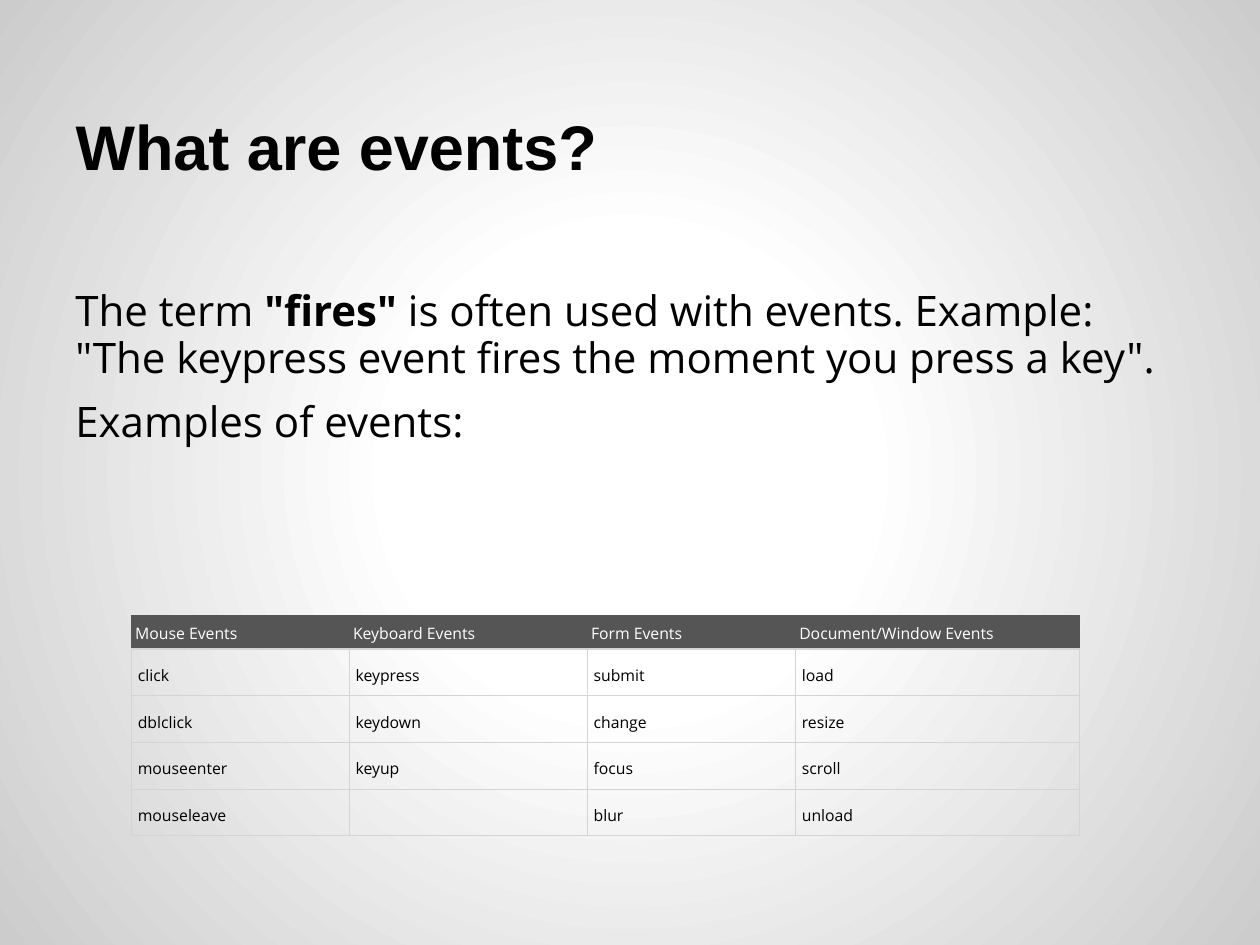
from pptx import Presentation
from pptx.dml.color import RGBColor
from pptx.enum.text import MSO_ANCHOR, MSO_AUTO_SIZE, PP_ALIGN
from pptx.oxml import parse_xml
from pptx.oxml.ns import nsdecls
from pptx.util import Pt

LEFT, BOTTOM, TOP = PP_ALIGN.LEFT, MSO_ANCHOR.BOTTOM, MSO_ANCHOR.TOP
NO_FIT = MSO_AUTO_SIZE.NONE

THEME = {
    "title": {"name": "Arial", "size": Pt(36), "bold": True, "color": "000000"},
    "body": {"name": "Open Sans", "size": Pt(24), "bold": False, "color": "000000"},
    "strong": {"name": "Open Sans", "size": Pt(24), "bold": True, "color": "000000"},
    "header": {"name": "Open Sans", "size": Pt(9), "bold": False, "color": "FFFFFF"},
    "cell": {"name": "Open Sans", "size": Pt(9), "bold": False, "color": "000000"},
    "header_fill": "555555",
    "grid": "D4D4D4",
    "glow": [(0, "FFFFFF"), (30, "FFFFFF"), (100, "CCCCCC")],
}


def add_span(para, text, style):
    span = para.add_run()
    span.text = text
    for key, value in THEME[style].items():
        if key == "color":
            span.font.color.rgb = RGBColor.from_string(value)
        else:
            setattr(span.font, key, value)


def set_format(target, values):
    for key, value in values.items():
        setattr(target, key, value)


deck = Presentation()
set_format(deck, {"slide_width": Pt(720), "slide_height": Pt(540)})
page = deck.slides.add_slide(deck.slide_layouts[5])

# Radial background
stops = "".join(
    f'<a:gs pos="{position * 1000}"><a:srgbClr val="{color}"/></a:gs>'
    for position, color in THEME["glow"]
)
page.element.cSld.insert(0, parse_xml(
    f'<p:bg {nsdecls("p", "a")}><p:bgPr><a:gradFill><a:gsLst>{stops}</a:gsLst>'
    '<a:path path="circle"><a:fillToRect l="50000" t="50000" r="50000" b="50000"/>'
    '</a:path></a:gradFill><a:effectLst/></p:bgPr></p:bg>'
))

# Title
title = page.shapes.title
set_format(title, {"left": Pt(36), "top": Pt(21.6), "width": Pt(648), "height": Pt(90)})
margins = {"margin_" + side: Pt(7.2) for side in ("left", "top", "right", "bottom")}
set_format(title.text_frame, {**margins, "vertical_anchor": BOTTOM,
                              "word_wrap": True, "auto_size": NO_FIT})
para = title.text_frame.paragraphs[0]
para.alignment = LEFT
add_span(para, "What are events?", "title")

# Explanation
paragraphs = [
    [("The term ", "body"), ('"fires"', "strong"),
     (' is often used with events. Example: '
      '"The keypress event fires the moment you press a key".', "body")],
    [("Examples of events:", "body")],
]
box = page.shapes.add_textbox(Pt(36), Pt(126), Pt(648), Pt(391))
frame = box.text_frame
set_format(frame, {**margins, "margin_top": Pt(38.8), "vertical_anchor": TOP,
                   "word_wrap": True, "auto_size": NO_FIT})
for index, spans in enumerate(paragraphs):
    para = frame.add_paragraph() if index else frame.paragraphs[0]
    set_format(para, {"alignment": LEFT, "line_spacing": 0.94,
                      "space_before": Pt(9.7 if index else 0)})
    for text, style in spans:
        add_span(para, text, style)

# Event table
events = [
    ["Mouse Events", "Keyboard Events", "Form Events", "Document/Window Events"],
    ["click", "keypress", "submit", "load"],
    ["dblclick", "keydown", "change", "resize"],
    ["mouseenter", "keyup", "focus", "scroll"],
    ["mouseleave", "", "blur", "unload"],
]
widths = [124.5, 136, 119, 162.3]
heights = [18.9] + [26.7] * 4
table = page.shapes.add_table(len(events), len(widths), Pt(75), Pt(352),
                              Pt(sum(widths)), Pt(sum(heights))).table
set_format(table, {"first_row": False, "horz_banding": False})
for column, width in zip(table.columns, widths):
    column.width = Pt(width)
for row, height in zip(table.rows, heights):
    row.height = Pt(height)

for row_index, words in enumerate(events):
    is_header = row_index == 0
    side_margin, end_margin = (2.25, 2.25) if is_header else (3.75, 5)
    for column_index, word in enumerate(words):
        cell = table.cell(row_index, column_index)
        set_format(cell, {"margin_left": Pt(side_margin), "margin_right": Pt(side_margin),
                          "margin_top": Pt(end_margin), "margin_bottom": Pt(end_margin),
                          "vertical_anchor": TOP})
        para = cell.text_frame.paragraphs[0]
        para.line_spacing = 1.15 if is_header else 1.33
        if word:
            add_span(para, word, "header" if is_header else "cell")
        else:
            size = int(THEME["cell"]["size"].pt * 100)
            para._p.append(parse_xml(f'<a:endParaRPr {nsdecls("a")} sz="{size}"/>'))

        # Borders come before the fill in the cell properties
        properties = cell._tc.get_or_add_tcPr()
        for edge in ("lnL", "lnR", "lnT", "lnB"):
            dark = is_header and edge != "lnB"
            color = THEME["header_fill" if dark else "grid"]
            properties.append(parse_xml(
                f'<a:{edge} {nsdecls("a")} w="{Pt(0.75)}"><a:solidFill>'
                f'<a:srgbClr val="{color}"/></a:solidFill></a:{edge}>'
            ))
        if is_header:
            cell.fill.solid()
            cell.fill.fore_color.rgb = RGBColor.from_string(THEME["header_fill"])
        else:
            cell.fill.background()

deck.save("out.pptx")
